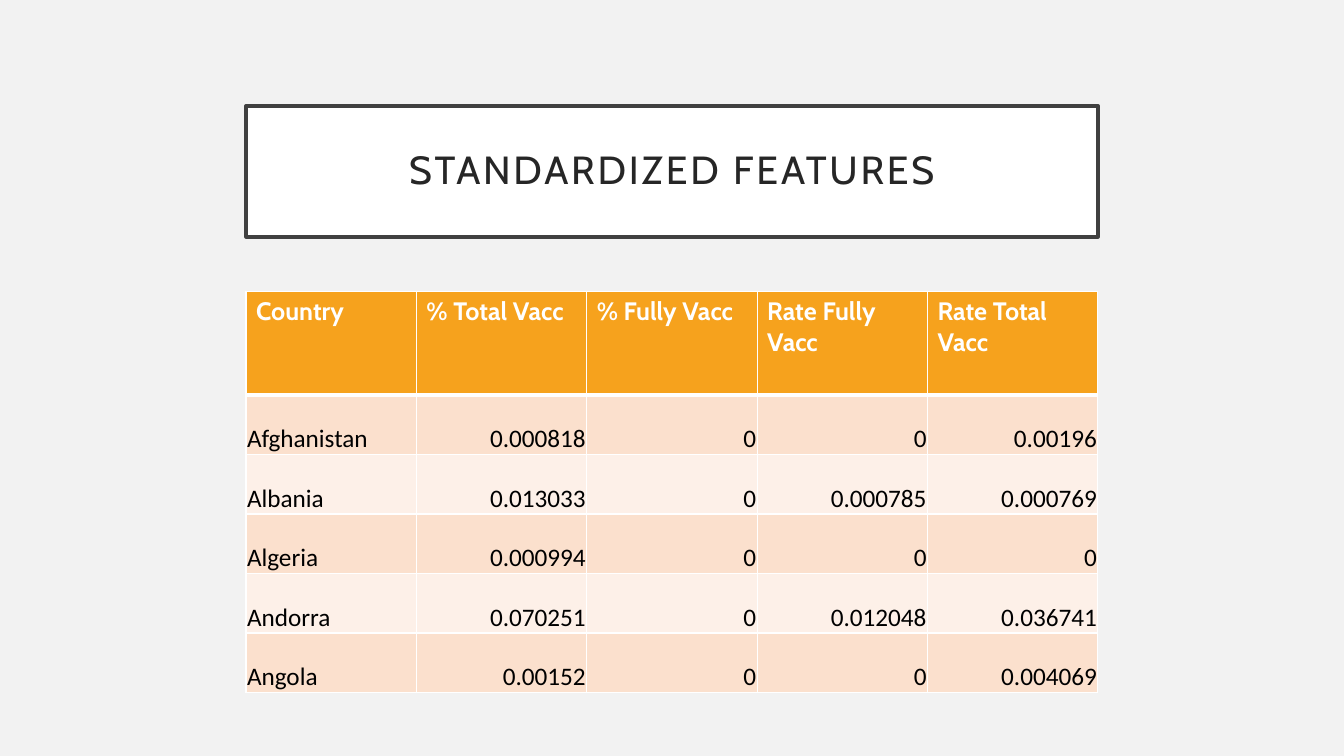
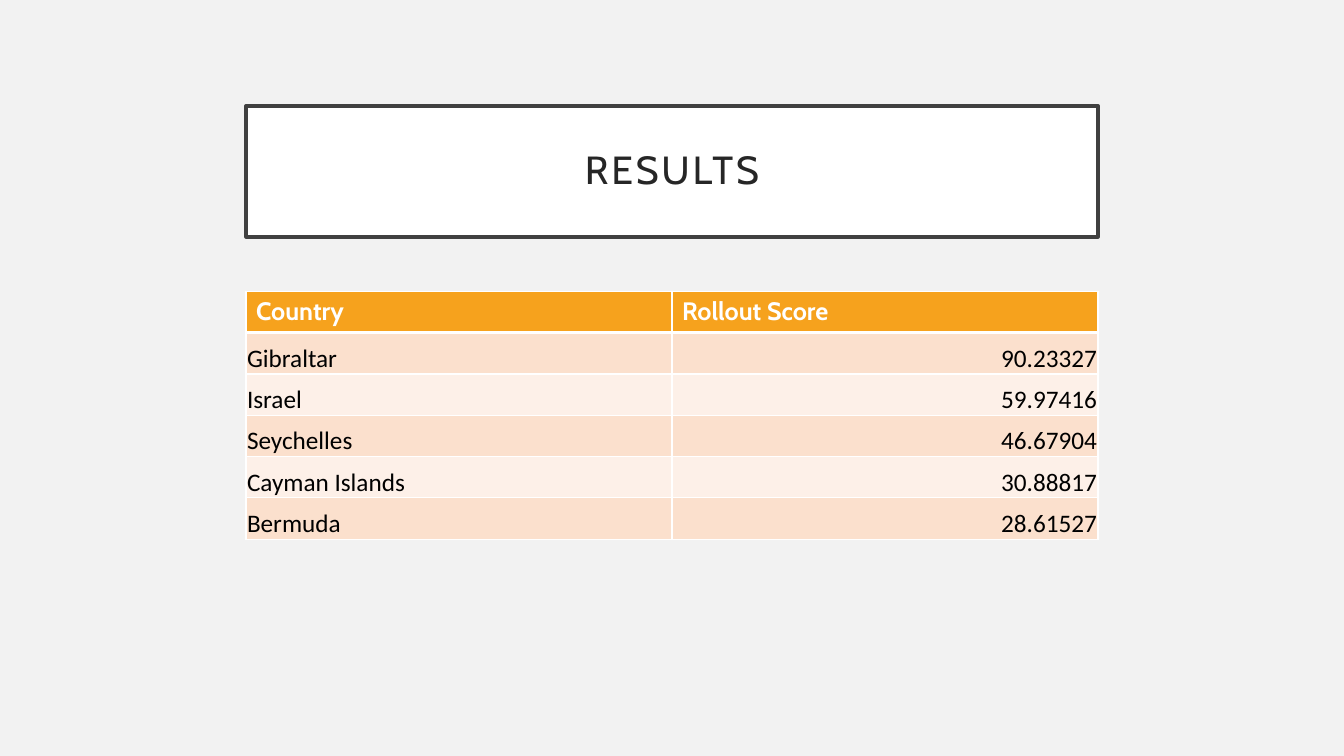
from dataclasses import dataclass
from lxml.etree import SubElement
from pptx import Presentation
from pptx.dml.color import RGBColor as RGB
from pptx.enum.shapes import MSO_SHAPE as SHAPE
from pptx.enum.text import MSO_ANCHOR as ANCHOR, PP_ALIGN as ALIGN
from pptx.oxml.ns import qn
from pptx.util import Inches, Pt

SLIDES = [
    {
        "title": "STANDARDIZED FEATURES",
        "header_height": 1.03,
        "row_height": 0.59,
        "rows": [
            ("Country", "% Total Vacc", "% Fully Vacc", "Rate Fully Vacc", "Rate Total Vacc"),
            ("Afghanistan", "0.000818", "0", "0", "0.00196"),
            ("Albania", "0.013033", "0", "0.000785", "0.000769"),
            ("Algeria", "0.000994", "0", "0", "0"),
            ("Andorra", "0.070251", "0", "0.012048", "0.036741"),
            ("Angola", "0.00152", "0", "0", "0.004069"),
        ],
    },
    {
        "title": "RESULTS",
        "header_height": 0.41,
        "row_height": 0.41,
        "rows": [
            ("Country", "Rollout Score"),
            ("Gibraltar", "90.23327"),
            ("Israel", "59.97416"),
            ("Seychelles", "46.67904"),
            ("Cayman Islands", "30.88817"),
            ("Bermuda", "28.61527"),
        ],
    },
]


@dataclass(frozen=True)
class Theme:
    background: str = "F2F2F2"
    white: str = "FFFFFF"
    frame: str = "404040"
    title: str = "262626"
    header: str = "F6A21D"
    bands: tuple = ("FBE0CD", "FDF0E8")
    body: str = "000000"
    heading_font: str = "Cabin"
    body_font: str = "Calibri"
    title_size: int = 28
    table_size: int = 18
    frame_width: float = 2.5
    rule: int = 1
    header_rule: int = 3


T = Theme()
LEFT, WIDTH = 2.44, 8.45
TITLE_TOP, TITLE_HEIGHT, TITLE_INSET = 1.05, 1.3, 0.2
TABLE_TOP = 2.89
CELL_INSET = 0.01


def paint(fill, color):
    fill.solid()
    fill.fore_color.rgb = RGB.from_string(color)


def add_run(p, text, font, size, color, bold=False):
    r = p.add_run()
    r.text = text
    r.font.name = font
    r.font.size = Pt(size)
    r.font.bold = bold
    r.font.color.rgb = RGB.from_string(color)
    return r


def add_title(s, text):
    sp = s.shapes.add_shape(SHAPE.RECTANGLE, Inches(LEFT), Inches(TITLE_TOP),
                            Inches(WIDTH), Inches(TITLE_HEIGHT))
    sp.shadow.inherit = False
    paint(sp.fill, T.white)
    paint(sp.line.fill, T.frame)
    sp.line.width = Pt(T.frame_width)
    tf = sp.text_frame
    tf.word_wrap = True
    tf.vertical_anchor = ANCHOR.MIDDLE
    tf.margin_left = tf.margin_right = tf.margin_top = tf.margin_bottom = Inches(TITLE_INSET)
    p = tf.paragraphs[0]
    p.alignment = ALIGN.CENTER
    p.line_spacing = 0.9
    r = add_run(p, text, T.heading_font, T.title_size, T.title)
    r.font._element.set("spc", "200")


def add_borders(cell, top, bottom):
    tc_pr = cell._tc.get_or_add_tcPr()
    for side, width in (("L", T.rule), ("R", T.rule), ("T", top), ("B", bottom)):
        ln = SubElement(tc_pr, qn(f"a:ln{side}"), w=str(Pt(width)))
        SubElement(SubElement(ln, qn("a:solidFill")), qn("a:srgbClr"), val=T.white)


def style_header(cell, text):
    add_borders(cell, T.rule, T.header_rule)
    paint(cell.fill, T.header)
    add_run(cell.text_frame.paragraphs[0], text, T.heading_font, T.table_size, T.white, True)


def style_body(cell, text, row, col):
    add_borders(cell, T.header_rule if row == 1 else T.rule, T.rule)
    paint(cell.fill, T.bands[(row - 1) % 2])
    cell.vertical_anchor = ANCHOR.BOTTOM
    cell.margin_left = cell.margin_right = cell.margin_top = Inches(CELL_INSET)
    cell.margin_bottom = 0
    p = cell.text_frame.paragraphs[0]
    p.alignment = ALIGN.RIGHT if col else ALIGN.LEFT
    add_run(p, text, T.body_font, T.table_size, T.body)


def add_data_table(s, rows, header_height, row_height):
    heights = [header_height] + [row_height] * (len(rows) - 1)
    table = s.shapes.add_table(len(rows), len(rows[0]), Inches(LEFT), Inches(TABLE_TOP),
                               Inches(WIDTH), Inches(sum(heights))).table
    for row, (values, height) in enumerate(zip(rows, heights)):
        table.rows[row].height = Inches(height)
        for col, text in enumerate(values):
            cell = table.cell(row, col)
            if row:
                style_body(cell, text, row, col)
            else:
                style_header(cell, text)


prs = Presentation()
prs.slide_width, prs.slide_height = Inches(13.33), Inches(7.5)
for content in SLIDES:
    s = prs.slides.add_slide(prs.slide_layouts[6])
    paint(s.background.fill, T.background)
    add_title(s, content["title"])
    add_data_table(s, content["rows"], content["header_height"], content["row_height"])
prs.save("out.pptx")
